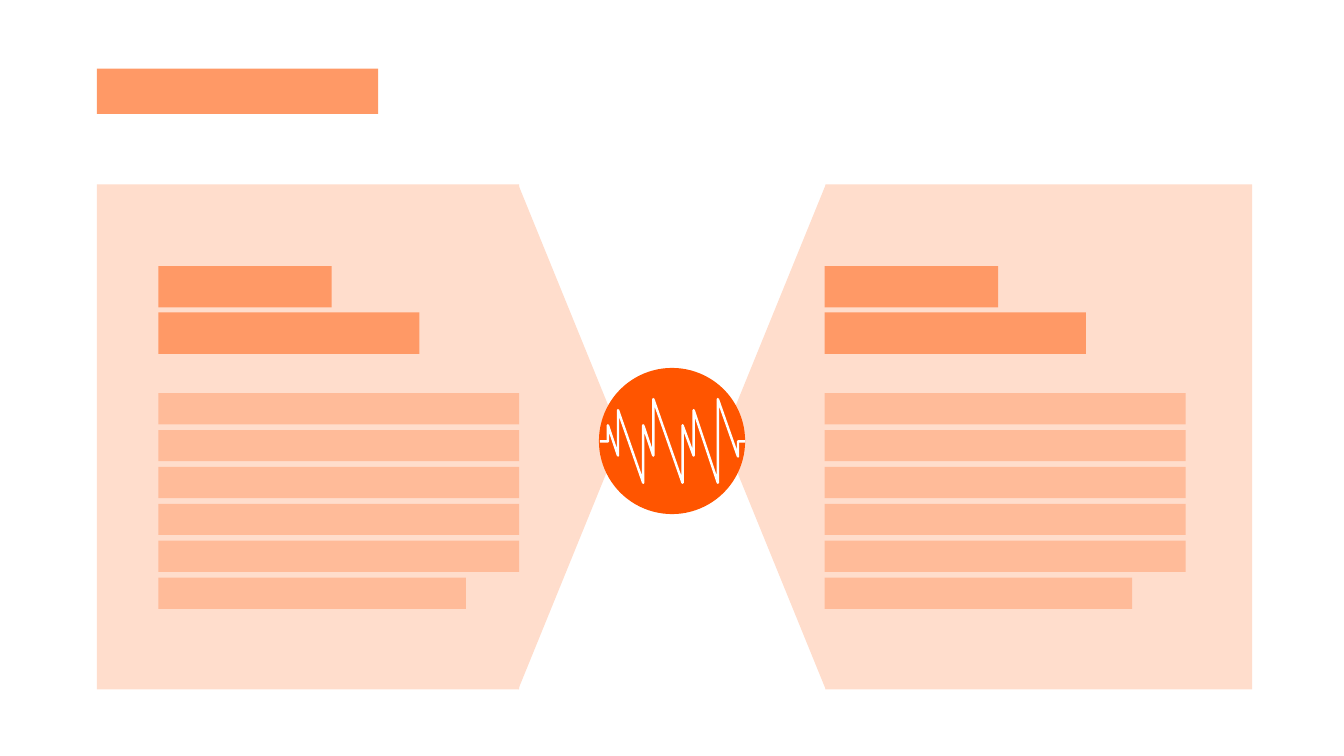
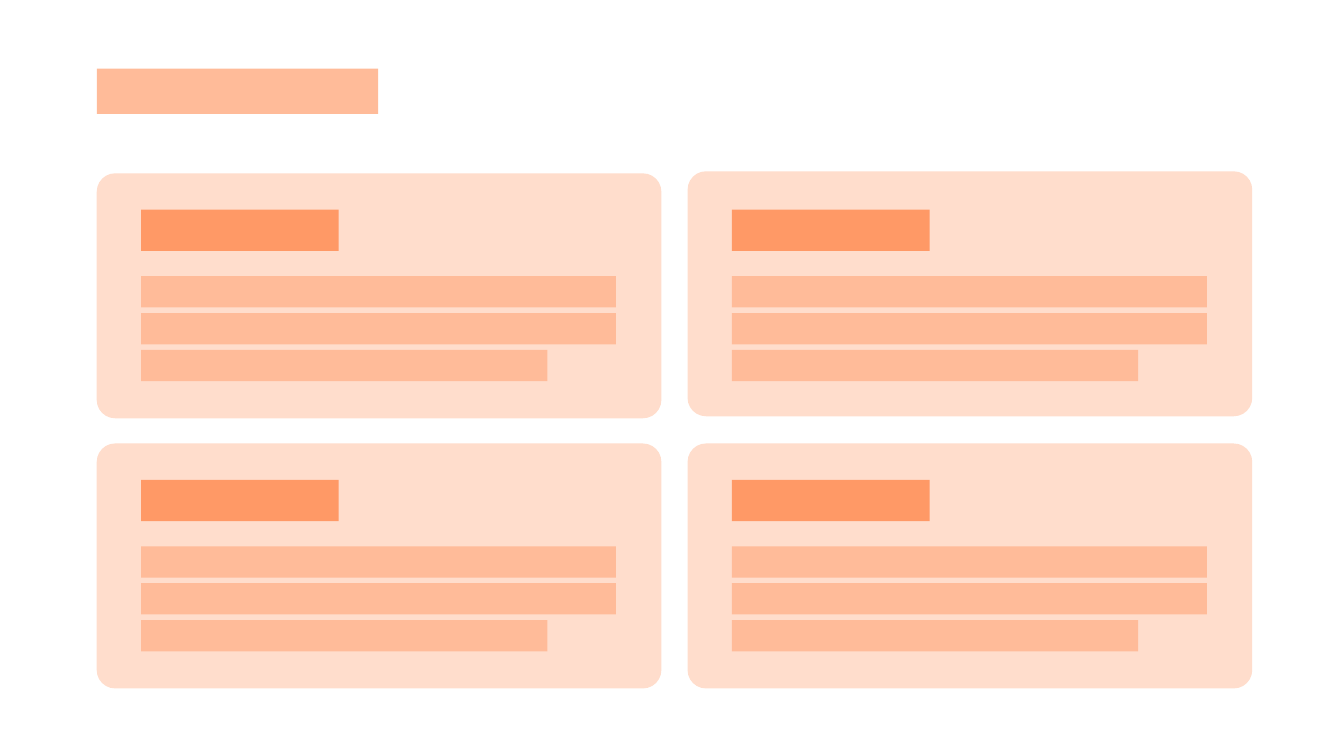
from pptx import Presentation
from pptx.dml.color import RGBColor
from pptx.enum.shapes import MSO_SHAPE
from pptx.util import Inches, Pt

RECT, ROUND = MSO_SHAPE.RECTANGLE, MSO_SHAPE.ROUNDED_RECTANGLE
WEDGE, OVAL = MSO_SHAPE.ISOSCELES_TRIANGLE, MSO_SHAPE.OVAL

HUES = {"pale": "FFDDCC", "soft": "FFBB99", "mid": "FF9966",
        "core": "FF5500", "line": "FFFFFF"}
WIDE, HIGH = 13.33, 7.5
LEFT, RIGHT = 0.96, 12.42
TITLE = (LEFT, 0.68, 2.79, 0.45)
HEAD_H, HEAD_STEP = 0.41, 0.46
LINE_H, LINE_STEP = 0.31, 1.83 / 5

# Slide 1: two panels that point at a circle
TOP, TALL = 1.83, 5.01
PANELS = [(LEFT, 4.19), (8.19, 4.23)]
TIP = 1.02
WEDGES = [(5.14, 90), (7.17, 270)]
CIRCLE = (5.94, 3.65, 1.45, 1.45)
COLUMNS = [1.57, 8.18]
COLUMN = {"heads": [1.72, 2.59], "lines": [3.58] * 5 + [3.05], "drop": 1.26}
# Hundredths of an inch
ZIGZAG = [(595, 438), (603, 438), (603, 422), (613, 452), (613, 407),
          (638, 479), (638, 422), (648, 452), (648, 396), (677, 479),
          (677, 422), (688, 452), (688, 407), (712, 479), (712, 396),
          (732, 453), (732, 438), (739, 438)]

# Slide 2: four cards
CARD_W, CARD_H = 5.6, 2.43
CARDS = [(LEFT, 1.72), (RIGHT - CARD_W, 1.7),
         (LEFT, 4.4), (RIGHT - CARD_W, 4.4)]
PAD = 0.44
HEAD_TOPS = [2.08, 2.08, 4.76, 4.76]
CARD = {"heads": [1.96], "lines": [4.71, 4.71, 4.03], "drop": 0.66}


def block(shapes, box, hue, kind=RECT, turn=0, bend=None):
    shape = shapes.add_shape(kind, *map(Inches, box))
    shape.shadow.inherit = False
    shape.fill.solid()
    shape.fill.fore_color.rgb = RGBColor.from_string(HUES[hue])
    shape.line.fill.background()
    shape.rotation = turn
    if bend is not None:
        shape.adjustments[0] = bend


def bars(slide, x, y, heads, lines, drop):
    """Group heading bars with the body bars that start drop below them."""
    shapes = slide.shapes.add_group_shape().shapes
    for i, w in enumerate(heads):
        block(shapes, (x, y + i * HEAD_STEP, w, HEAD_H), "mid")
    for i, w in enumerate(lines):
        block(shapes, (x, y + drop + i * LINE_STEP, w, LINE_H), "soft")


def zigzag(slide):
    pen = slide.shapes.build_freeform(*ZIGZAG[0], scale=Inches(0.01))
    pen.add_line_segments(ZIGZAG[1:], close=False)
    shape = pen.convert_to_shape()
    shape.shadow.inherit = False
    shape.fill.background()
    shape.line.color.rgb = RGBColor.from_string(HUES["line"])
    shape.line.width = Pt(1.75)


def page(deck, hue):
    slide = deck.slides.add_slide(deck.slide_layouts[6])
    block(slide.shapes, TITLE, hue)
    return slide


def versus(deck):
    slide = page(deck, "mid")
    for x, w in PANELS:
        block(slide.shapes, (x, TOP, w, TALL), "pale")
    for x, turn in WEDGES:
        # The box is given before its quarter turn about the centre
        shift = (TALL - TIP) / 2
        box = (x - shift, TOP + shift, TALL, TIP)
        block(slide.shapes, box, "pale", WEDGE, turn)
    block(slide.shapes, CIRCLE, "core", OVAL)
    zigzag(slide)
    for x in COLUMNS:
        bars(slide, x, 2.64, **COLUMN)


def cards(deck):
    slide = page(deck, "soft")
    for (x, y), top in zip(CARDS, HEAD_TOPS):
        block(slide.shapes, (x, y, CARD_W, CARD_H), "pale", ROUND, bend=0.075)
        bars(slide, x + PAD, top, **CARD)


def main():
    deck = Presentation()
    deck.slide_width, deck.slide_height = Inches(WIDE), Inches(HIGH)
    versus(deck)
    cards(deck)
    deck.save("out.pptx")


if __name__ == "__main__":
    main()
